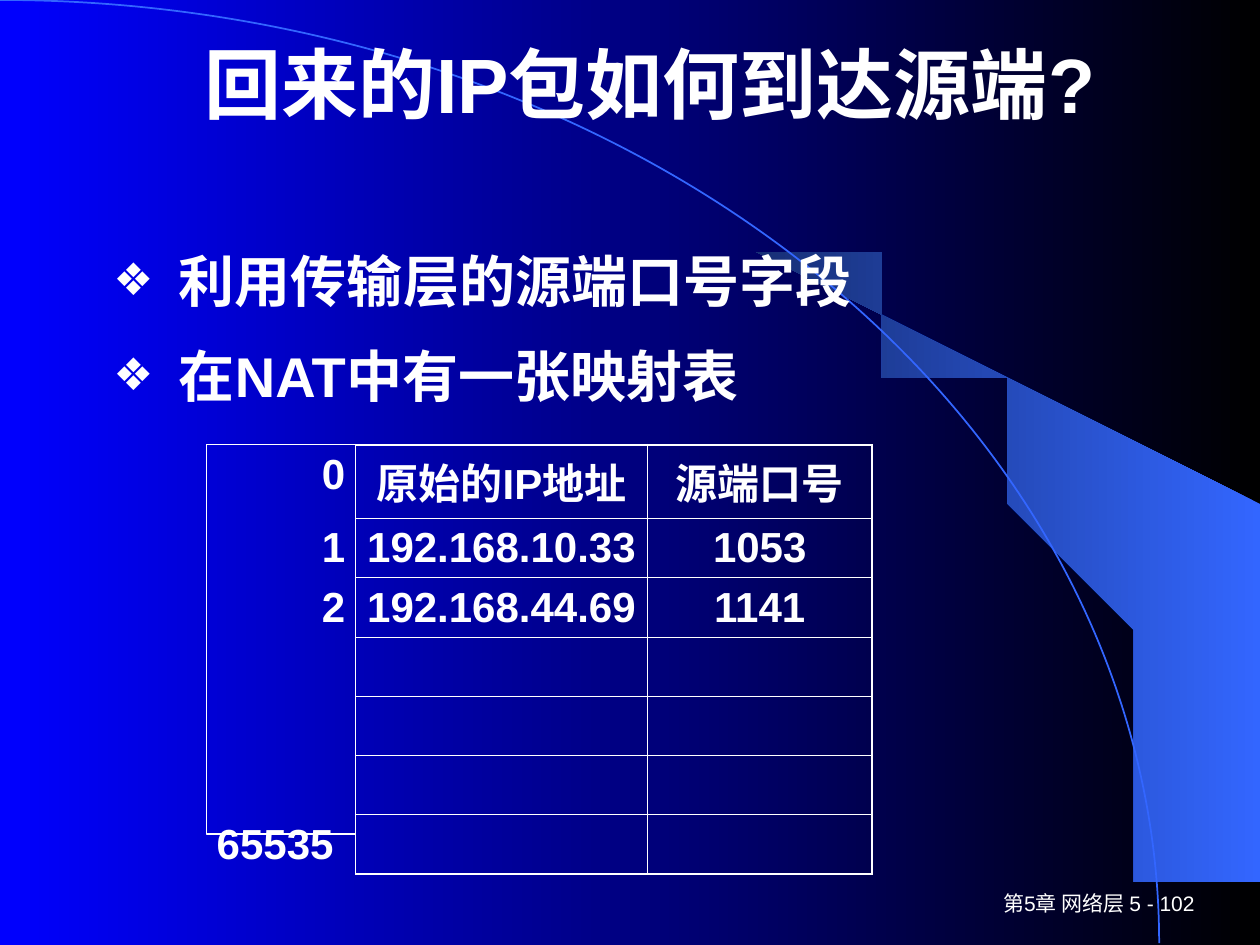
from lxml.etree import SubElement
from pptx import Presentation
from pptx.dml.color import RGBColor
from pptx.enum.shapes import MSO_SHAPE
from pptx.enum.text import MSO_ANCHOR, MSO_AUTO_SIZE, PP_ALIGN
from pptx.oxml.ns import qn
from pptx.util import Inches, Pt

COLORS = {"white": "FFFFFF", "black": "000000", "blue": "0000FF",
          "bright": "3366FF", "navy": "172F75"}
WEDGE = [(9.2, 7.48), (9.99, 7.49), (9.99, 4.23), (5.89, 1.73), (6.24, 1.99),
         (6.53, 2.22), (6.85, 2.5), (7.16, 2.8), (7.62, 3.3), (8.03, 3.84),
         (8.32, 4.31), (8.58, 4.79), (8.78, 5.28), (8.93, 5.72), (9.03, 6.09),
         (9.13, 6.56), (9.17, 6.96)]
ROWS = [("0", "原始的IP地址", "源端口号"),
        ("1", "192.168.10.33", "1053"),
        ("2", "192.168.44.69", "1141"),
        ("", "", ""), ("", "", ""), ("", "", ""),
        ("65535", "", "")]
TABLE_LEFT, TABLE_TOP = 1.64, 3.53
COLUMN_WIDTHS = [1.18, 2.32, 1.78]
ROW_HEIGHTS = [0.58] + [0.47] * (len(ROWS) - 1)
INDEX_HEIGHT = 3.09
THIN, THICK = 0.45, 1.08


def color(name):
    return RGBColor.from_string(COLORS[name])


def set_attributes(target, values):
    for name, value in values.items():
        setattr(target, name, value)


def write(paragraph, text, size, bold=True, align=PP_ALIGN.LEFT):
    paragraph.alignment = align
    span = paragraph.add_run()
    span.text = text
    set_attributes(span.font, {"name": "Arial", "size": Pt(size), "bold": bold})
    span.font.color.rgb = color("white")


def place(box, left, top, width, height, anchor):
    set_attributes(box, {"left": Inches(left), "top": Inches(top),
                         "width": Inches(width), "height": Inches(height)})
    set_attributes(box.text_frame, {"word_wrap": True, "vertical_anchor": anchor,
                                    "auto_size": MSO_AUTO_SIZE.NONE})


def fill_gradient(fill, start, end):
    fill.gradient()
    fill.gradient_angle = 180
    for stop, name in zip(fill.gradient_stops, (start, end)):
        stop.color.rgb = color(name)


def outline(shape, name, width):
    shape.shadow.inherit = False
    shape.fill.background()
    shape.line.color.rgb = color(name)
    shape.line.width = Pt(width)


def add_backdrop(page):
    fill_gradient(page.background.fill, "black", "blue")
    builder = page.shapes.build_freeform(*WEDGE[0], scale=Inches(1))
    builder.add_line_segments(WEDGE[1:], close=True)
    wedge = builder.convert_to_shape()
    wedge.shadow.inherit = False
    fill_gradient(wedge.fill, "bright", "navy")
    wedge.line.fill.background()
    arc = page.shapes.add_shape(MSO_SHAPE.ARC, Inches(-9.2), 0,
                                Inches(18.4), Inches(14.97))
    outline(arc, "bright", 1)
    for shape in (wedge, arc):
        page.shapes.title.element.addprevious(shape.element)


def add_bullet(paragraph):
    properties = paragraph._p.get_or_add_pPr()
    properties.set("marL", str(Inches(0.52)))
    properties.set("indent", str(-Inches(0.52)))
    bullet_color = SubElement(properties, qn("a:buClr"))
    SubElement(bullet_color, qn("a:srgbClr"), val=COLORS["white"])
    SubElement(properties, qn("a:buSzPct"), val="80000")
    SubElement(properties, qn("a:buFont"), typeface="Arial")
    SubElement(properties, qn("a:buChar"), char="❖")


def fill_list(body, lines):
    frame = body.text_frame
    for index, line in enumerate(lines):
        paragraph = frame.add_paragraph() if index else frame.paragraphs[0]
        add_bullet(paragraph)
        paragraph.line_spacing = 1.2
        paragraph.space_before = Pt(8 if index else 0)
        write(paragraph, line, 32)


def set_borders(cell, widths):
    properties = cell._tc.get_or_add_tcPr()
    for side in "LRTB":
        width = widths.get(side, 0)
        edge = SubElement(properties, qn(f"a:ln{side}"), w=str(Pt(width)))
        if width:
            fill = SubElement(edge, qn("a:solidFill"))
            SubElement(fill, qn("a:srgbClr"), val=COLORS["white"])
        else:
            SubElement(edge, qn("a:noFill"))


def cell_borders(row, column):
    if column == 0:
        return {"R": THIN}
    return {"L": THIN,
            "R": THICK if column == len(COLUMN_WIDTHS) - 1 else THIN,
            "T": THICK if row == 0 else THIN,
            "B": THICK if row == len(ROWS) - 1 else THIN}


def cell_align(row, column):
    if column:
        return PP_ALIGN.CENTER
    return PP_ALIGN.LEFT if row == len(ROWS) - 1 else PP_ALIGN.RIGHT


def add_mapping_table(page):
    table = page.shapes.add_table(
        len(ROWS), len(COLUMN_WIDTHS), Inches(TABLE_LEFT), Inches(TABLE_TOP),
        Inches(sum(COLUMN_WIDTHS)), Inches(sum(ROW_HEIGHTS))).table
    set_attributes(table, {"first_row": False, "horz_banding": False})
    for column, width in zip(table.columns, COLUMN_WIDTHS):
        column.width = Inches(width)
    for row, height in zip(table.rows, ROW_HEIGHTS):
        row.height = Inches(height)
    for row, texts in enumerate(ROWS):
        for column, text in enumerate(texts):
            cell = table.cell(row, column)
            set_borders(cell, cell_borders(row, column))
            cell.fill.background()
            set_attributes(cell, {"margin_left": Inches(0.08),
                                  "margin_right": Inches(0.08)})
            if text:
                write(cell.text_frame.paragraphs[0], text, 24,
                      align=cell_align(row, column))


def add_index_frame(page):
    frame = page.shapes.add_shape(
        MSO_SHAPE.RECTANGLE, Inches(TABLE_LEFT), Inches(TABLE_TOP),
        Inches(COLUMN_WIDTHS[0]), Inches(INDEX_HEIGHT))
    outline(frame, "white", 0.75)


def add_footer(page):
    box = page.shapes.add_textbox(0, 0, 0, 0)
    place(box, 7.5, 7, 2.08, 0.33, MSO_ANCHOR.MIDDLE)
    write(box.text_frame.paragraphs[0], "第5章 网络层 5 - 102", 12,
          bold=False, align=PP_ALIGN.RIGHT)


def main():
    deck = Presentation()
    set_attributes(deck, {"slide_width": Inches(10), "slide_height": Inches(7.5)})
    page = deck.slides.add_slide(deck.slide_layouts[1])
    add_backdrop(page)
    title, body = page.shapes.title, page.placeholders[1]
    place(title, 0.91, 0.21, 8.5, 0.89, MSO_ANCHOR.MIDDLE)
    write(title.text_frame.paragraphs[0], "回来的IP包如何到达源端?", 44,
          align=PP_ALIGN.CENTER)
    place(body, 0.8, 1.8, 7.14, 1.95, MSO_ANCHOR.TOP)
    fill_list(body, ["利用传输层的源端口号字段", "在NAT中有一张映射表"])
    add_mapping_table(page)
    add_index_frame(page)
    add_footer(page)
    deck.save("out.pptx")


if __name__ == "__main__":
    main()
